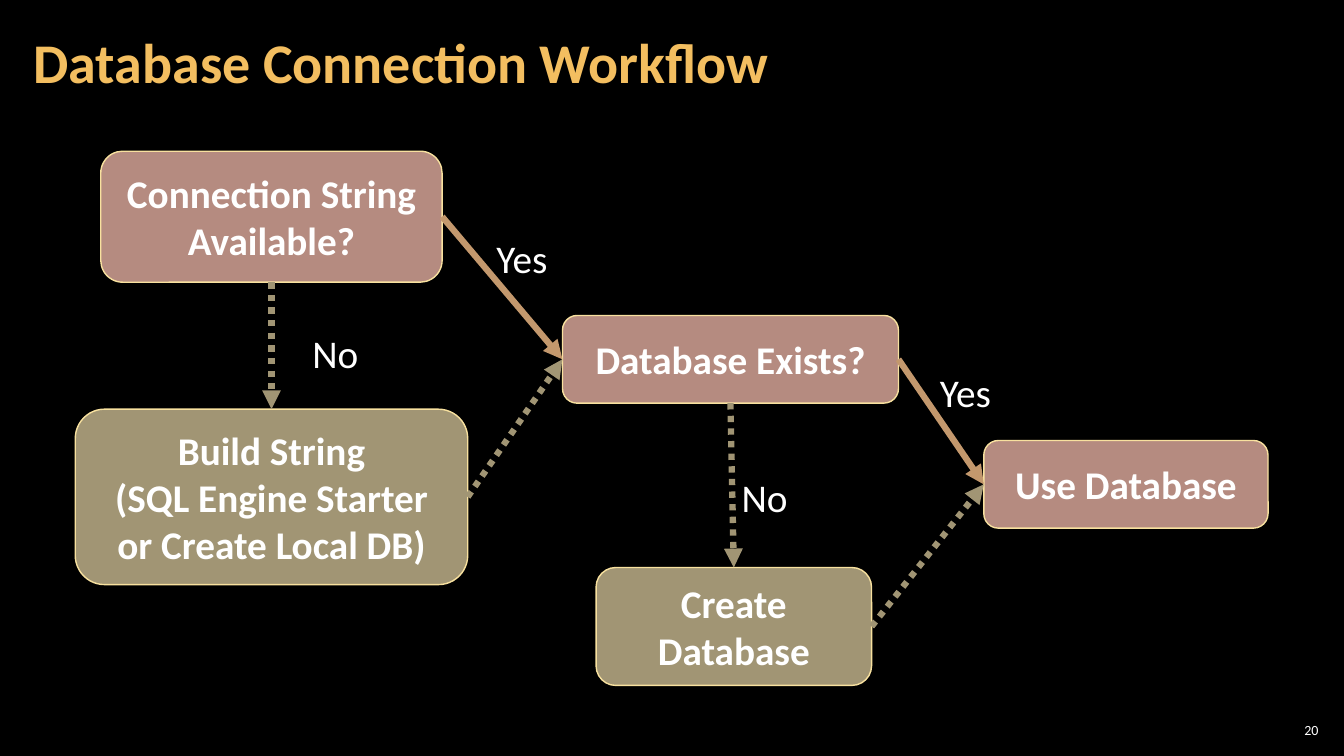
from lxml.etree import SubElement
from pptx import Presentation
from pptx.dml.color import RGBColor
from pptx.enum.dml import MSO_LINE
from pptx.enum.shapes import MSO_CONNECTOR, MSO_SHAPE
from pptx.enum.text import MSO_ANCHOR, MSO_AUTO_SIZE, PP_ALIGN
from pptx.oxml.ns import qn
from pptx.util import Inches, Pt

WIDTH, HEIGHT = Inches(13.33), Inches(7.5)
COLORS = {
    "background": "000000",
    "title": "F3BE60",
    "text": "FFFFFF",
    "check": "B58B80",
    "action": "A19574",
    "outline": "F8E19F",
    "yes": "C3986D",
}
TOP, LEFT, BOTTOM, RIGHT = range(4)


def color(name):
    return RGBColor.from_string(COLORS[name])


def place(left, top, width, height):
    return (
        round(WIDTH * left / 100),
        round(HEIGHT * top / 100),
        round(WIDTH * width / 100),
        round(HEIGHT * height / 100),
    )


def write(shape, text, size=28, fill="text", bold=False, align=PP_ALIGN.LEFT,
          anchor=MSO_ANCHOR.MIDDLE, wrap=True, insets=(0.1, 0.05), spacing=1.0):
    frame = shape.text_frame
    frame.auto_size = MSO_AUTO_SIZE.NONE
    frame.word_wrap = wrap
    frame.vertical_anchor = anchor
    frame.margin_left = frame.margin_right = Inches(insets[0])
    frame.margin_top = frame.margin_bottom = Inches(insets[1])
    paragraph = frame.paragraphs[0]
    paragraph.text = text
    paragraph.alignment = align
    paragraph.line_spacing = spacing
    paragraph.space_before = Pt(0)
    for run in paragraph.runs:
        run.font.name = "Calibri"
        run.font.size = Pt(size)
        run.font.bold = bold
        run.font.color.rgb = color(fill)


def add_title(slide, text, area):
    title = slide.shapes.title
    title.left, title.top, title.width, title.height = place(*area)
    write(title, text, size=40, fill="title", bold=True,
          insets=(0.12, 0.04), spacing=0.9)


def add_step(slide, text, kind, area):
    step = slide.shapes.add_shape(MSO_SHAPE.ROUNDED_RECTANGLE, *place(*area))
    step.shadow.inherit = False
    step.fill.solid()
    step.fill.fore_color.rgb = color(kind)
    step.line.color.rgb = color("outline")
    step.line.width = Pt(1)
    write(step, text, bold=True, align=PP_ALIGN.CENTER)
    return step


def add_arrow(slide, start, start_side, end, end_side, kind):
    arrow = slide.shapes.add_connector(MSO_CONNECTOR.STRAIGHT, 0, 0, 0, 0)
    arrow.begin_connect(start, start_side)
    arrow.end_connect(end, end_side)
    arrow.line.color.rgb = color(kind)
    arrow.line.width = Pt(4.5)
    if kind == "action":
        arrow.line.dash_style = MSO_LINE.ROUND_DOT
    properties = arrow._element.spPr
    SubElement(properties.find(qn("a:ln")), qn("a:tailEnd"), type="triangle")
    SubElement(properties, qn("a:effectLst"))


def add_label(slide, text, area, **text_format):
    label = slide.shapes.add_textbox(*place(*area))
    write(label, text, **text_format)


def main():
    presentation = Presentation()
    presentation.slide_width, presentation.slide_height = WIDTH, HEIGHT
    slide = presentation.slides.add_slide(presentation.slide_layouts[5])
    slide.background.fill.solid()
    slide.background.fill.fore_color.rgb = color("background")

    add_title(slide, "Database Connection Workflow", (1.6, 0.53, 78.5, 16.13))

    available = add_step(slide, "Connection String Available?", "check",
                         (7.5, 20, 25.4, 17.33))
    build = add_step(slide, "Build String\n(SQL Engine Starter or Create Local DB)",
                     "action", (5.6, 54.13, 29.2, 23.2))
    exists = add_step(slide, "Database Exists?", "check",
                      (41.85, 41.73, 25, 11.6))
    create = add_step(slide, "Create Database", "action",
                      (44.35, 75.07, 20.5, 15.6))
    use = add_step(slide, "Use Database", "check", (73.2, 58.27, 21.15, 11.6))

    for start, start_side, end, end_side, kind in (
        (available, BOTTOM, build, TOP, "action"),
        (build, RIGHT, exists, LEFT, "action"),
        (available, RIGHT, exists, LEFT, "yes"),
        (exists, BOTTOM, create, TOP, "action"),
        (exists, RIGHT, use, LEFT, "yes"),
        (create, RIGHT, use, LEFT, "action"),
    ):
        add_arrow(slide, start, start_side, end, end_side, kind)

    for text, left, top in (
        ("No", 22.5, 42.93),
        ("Yes", 36.2, 30.4),
        ("No", 54.45, 62),
        ("Yes", 69.2, 48),
    ):
        add_label(slide, text, (left, top, 5.3, 7.6),
                  anchor=MSO_ANCHOR.TOP, wrap=False)

    add_label(slide, "20", (94.9, 95.2, 3.5, 2.8), size=10,
              align=PP_ALIGN.RIGHT, insets=(0.04, 0.04))
    presentation.save("out.pptx")


if __name__ == "__main__":
    main()
